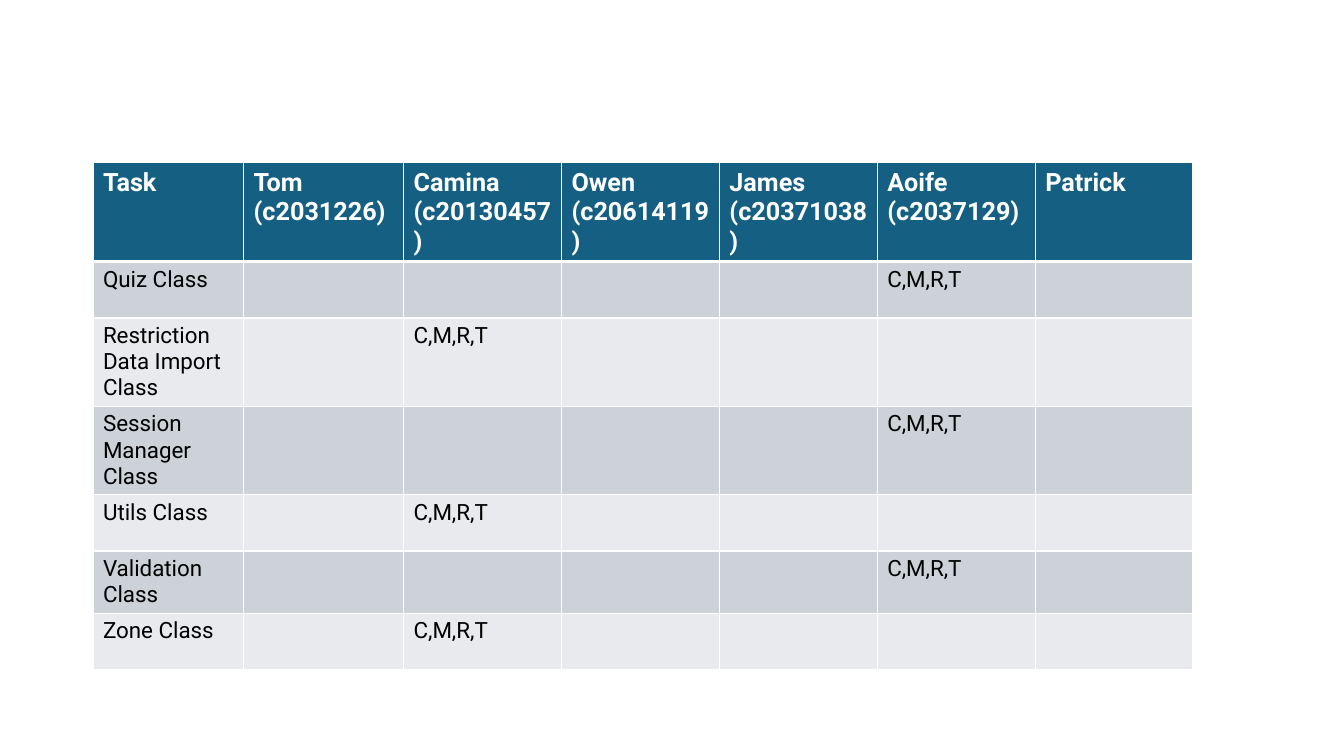
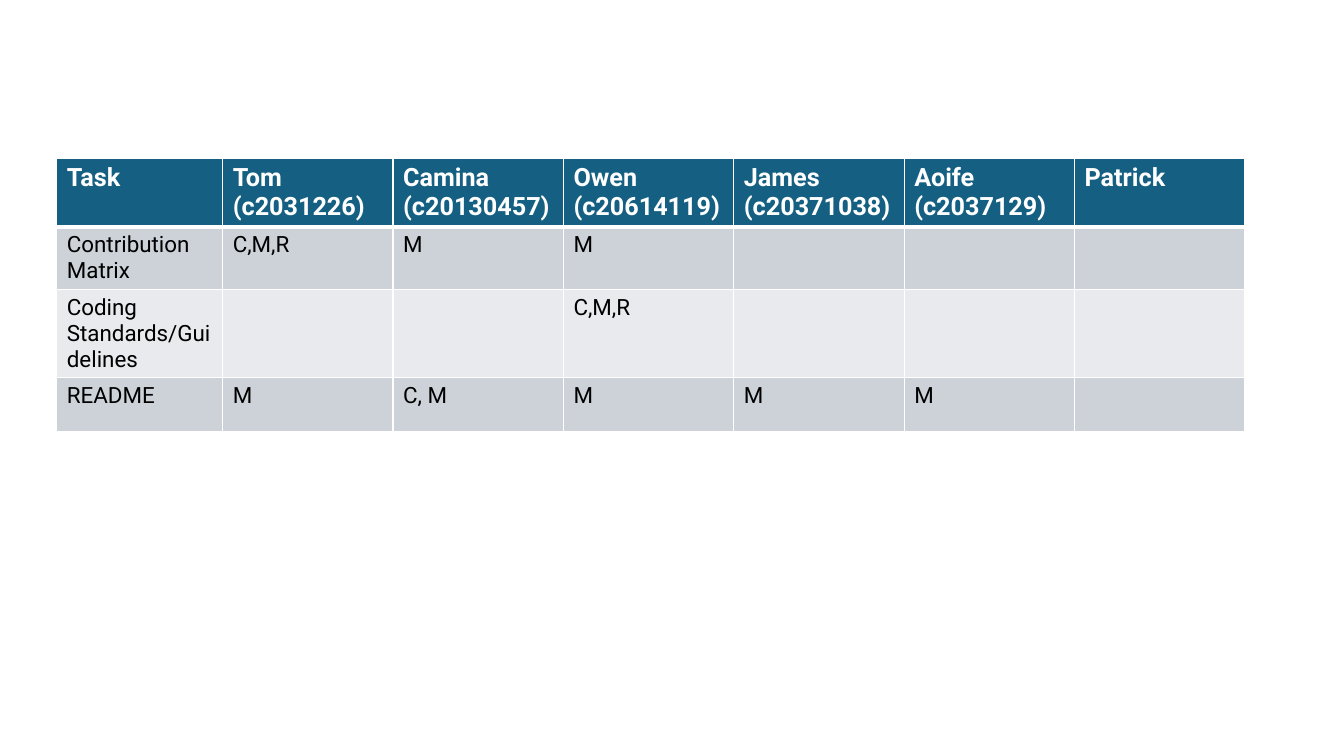
"""Build two slides that show who contributed to each project task."""
import dataclasses

import pptx
import pptx.dml.color
import pptx.oxml
import pptx.oxml.ns
import pptx.slide
import pptx.table
import pptx.util

Pt = pptx.util.Pt
RGB = pptx.dml.color.RGBColor


@dataclasses.dataclass(frozen=True)
class Theme:
    font: str = "Roboto"
    header_fill: str = "156082"
    bands: tuple[str, str] = ("CCD2D8", "E8EAED")
    header_text: str = "FFFFFF"
    body_text: str = "000000"
    border: str = "FFFFFF"
    header_size: float = 18
    body_size: float = 16
    thin: float = 1
    thick: float = 3


@dataclasses.dataclass(frozen=True)
class Task:
    name: str
    roles: dict[str, str]


@dataclasses.dataclass(frozen=True)
class Matrix:
    left: float
    top: float
    col_widths: tuple[float, ...]
    header_height: float
    row_height: float
    tasks: tuple[Task, ...]


THEME = Theme()
FORMATS = {
    "header": {"size": Pt(THEME.header_size), "bold": True, "name": THEME.font},
    "body": {"size": Pt(THEME.body_size), "bold": False, "name": THEME.font},
}
PEOPLE = {
    "Tom": "Tom (c2031226)",
    "Camina": "Camina (c20130457)",
    "Owen": "Owen\n(c20614119)",
    "James": "James (c20371038)",
    "Aoife": "Aoife (c2037129)",
    "Patrick": "Patrick",
}
ALL_ROLES = "C,M,R,T"
MATRICES = (
    Matrix(66.4, 116.2, (107.6, 114.3) + (112.8,) * 5, 40.4, 40.4, (
        Task("Quiz Class", {"Aoife": ALL_ROLES}),
        Task("Restriction Data Import Class", {"Camina": ALL_ROLES}),
        Task("Session Manager Class", {"Aoife": ALL_ROLES}),
        Task("Utils Class", {"Camina": ALL_ROLES}),
        Task("Validation Class", {"Aoife": ALL_ROLES}),
        Task("Zone Class", {"Camina": ALL_ROLES}),
    )),
    Matrix(40.6, 112.8, (118.5,) + (121.7,) * 6, 48.2, 38.8, (
        Task("Contribution Matrix", {"Tom": "C,M,R", "Camina": "M", "Owen": "M"}),
        Task("Coding Standards/Guidelines", {"Owen": "C,M,R"}),
        Task("README", {"Tom": "M", "Camina": "C, M", "Owen": "M", "James": "M", "Aoife": "M"}),
    )),
)


def set_borders(cell: pptx.table._Cell, row: int) -> None:
    tc_pr = cell._tc.get_or_add_tcPr()
    heavy_side = {0: "B", 1: "T"}.get(row)
    for side in "LRTB":
        width = Pt(THEME.thick if side == heavy_side else THEME.thin)
        tc_pr.append(pptx.oxml.parse_xml(
            f'<a:ln{side} {pptx.oxml.ns.nsdecls("a")} w="{width}"><a:solidFill>'
            f'<a:srgbClr val="{THEME.border}"/></a:solidFill></a:ln{side}>'))


def write_cell(cell: pptx.table._Cell, row: int, text: str) -> None:
    set_borders(cell, row)
    fill = THEME.bands[(row - 1) % 2] if row else THEME.header_fill
    cell.fill.solid()
    cell.fill.fore_color.rgb = RGB.from_string(fill)
    cell.text = text
    color = THEME.body_text if row else THEME.header_text
    for p in cell.text_frame.paragraphs:
        for target in (p, *p.runs):
            for name, value in FORMATS["body" if row else "header"].items():
                setattr(target.font, name, value)
            target.font.color.rgb = RGB.from_string(color)


def add_matrix(s: pptx.slide.Slide, matrix: Matrix) -> None:
    rows = [["Task", *PEOPLE.values()]]
    rows += [[t.name, *(t.roles.get(who, "") for who in PEOPLE)] for t in matrix.tasks]
    heights = [matrix.header_height] + [matrix.row_height] * len(matrix.tasks)
    table = s.shapes.add_table(
        len(rows), len(rows[0]), Pt(matrix.left), Pt(matrix.top),
        Pt(sum(matrix.col_widths)), Pt(sum(heights))).table
    for column, width in zip(table.columns, matrix.col_widths):
        column.width = Pt(width)
    for r, (texts, height) in enumerate(zip(rows, heights)):
        table.rows[r].height = Pt(height)
        for c, text in enumerate(texts):
            write_cell(table.cell(r, c), r, text)


def main() -> None:
    prs = pptx.Presentation()
    prs.slide_width, prs.slide_height = Pt(960), Pt(540)
    for matrix in MATRICES:
        add_matrix(prs.slides.add_slide(prs.slide_layouts[6]), matrix)
    prs.save("out.pptx")


if __name__ == "__main__":
    main()
